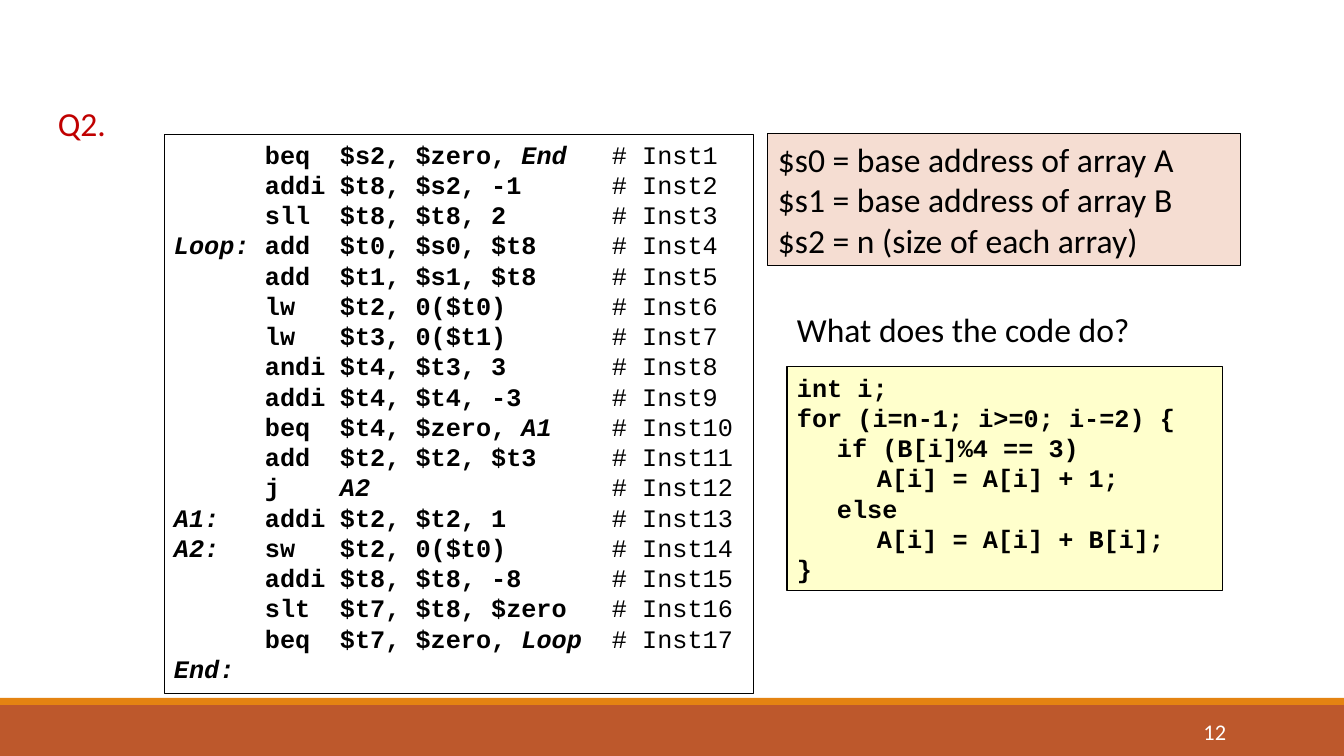
from pptx import Presentation
from pptx.dml.color import RGBColor
from pptx.enum.shapes import MSO_SHAPE
from pptx.enum.text import MSO_ANCHOR, PP_ALIGN
from pptx.oxml.ns import qn
from pptx.util import Emu, Pt
from lxml.etree import SubElement

SCALE = 914400 / 100.8
BLACK = "000000"
MONO = "Courier New"

# label, operation, operands, branch target
STEPS = [
    ("", "beq", "$s2, $zero, ", "End"),
    ("", "addi", "$t8, $s2, -1", ""),
    ("", "sll", "$t8, $t8, 2", ""),
    ("Loop:", "add", "$t0, $s0, $t8", ""),
    ("", "add", "$t1, $s1, $t8", ""),
    ("", "lw", "$t2, 0($t0)", ""),
    ("", "lw", "$t3, 0($t1)", ""),
    ("", "andi", "$t4, $t3, 3", ""),
    ("", "addi", "$t4, $t4, -3", ""),
    ("", "beq", "$t4, $zero, ", "A1"),
    ("", "add", "$t2, $t2, $t3", ""),
    ("", "j", "", "A2"),
    ("A1:", "addi", "$t2, $t2, 1", ""),
    ("A2:", "sw", "$t2, 0($t0)", ""),
    ("", "addi", "$t8, $t8, -8", ""),
    ("", "slt", "$t7, $t8, $zero", ""),
    ("", "beq", "$t7, $zero, ", "Loop"),
]

LOOP = """int i;
for (i=n-1; i>=0; i-=2) {
\tif (B[i]%4 == 3)
\t\tA[i] = A[i] + 1;
\telse
\t\tA[i] = A[i] + B[i];
}"""

REGS = """$s0 = base address of array A
$s1 = base address of array B
$s2 = n (size of each array)"""


def px(n):
    return Emu(round(n * SCALE))


def color(code):
    return RGBColor.from_string(code)


def panel(slide, box, fill=None, line=None):
    shape = slide.shapes.add_shape(MSO_SHAPE.RECTANGLE, *map(px, box))
    shape.shadow.inherit = False
    if fill:
        shape.fill.solid()
        shape.fill.fore_color.rgb = color(fill)
    else:
        shape.fill.background()
    if line:
        shape.line.color.rgb = color(line)
        shape.line.width = Pt(0.75)
    else:
        shape.line.fill.background()
    frame = shape.text_frame
    frame.word_wrap = True
    frame.vertical_anchor = MSO_ANCHOR.TOP
    return frame


def style(run, size, font=MONO, ink=BLACK, bold=False, slant=False):
    run.font.size = Pt(size)
    run.font.name = font
    run.font.color.rgb = color(ink)
    run.font.bold = bold
    run.font.italic = slant


def prose(frame, text, size=24, ink=BLACK, align=PP_ALIGN.LEFT):
    frame.text = text
    for para in frame.paragraphs:
        para.alignment = align
        for run in para.runs:
            style(run, size, "Calibri", ink)


def label(slide, box, text, anchor=MSO_ANCHOR.TOP, **look):
    frame = slide.shapes.add_textbox(*map(px, box)).text_frame
    frame.word_wrap = True
    frame.vertical_anchor = anchor
    prose(frame, text, **look)


def code_line(para, stops):
    para.alignment = PP_ALIGN.LEFT
    para.line_spacing = Pt(21.6)
    tabs = SubElement(para._p.get_or_add_pPr(), qn("a:tabLst"))
    for stop in stops:
        SubElement(tabs, qn("a:tab"), pos=str(px(stop)), algn="l")


# Bands along the foot, with the page number
def footer(slide, box):
    x, y, w, h = box
    panel(slide, (x, y + 7, w, h - 7), "BD582C")
    panel(slide, (x, y, w, 7), "E48312")
    label(slide, (x + 1092, y + 14, 144, 40), "12", MSO_ANCHOR.MIDDLE,
          size=16, ink="FFFFFF", align=PP_ALIGN.RIGHT)


# Assembly listing in four tabbed columns
def listing(slide, box):
    frame = panel(slide, box, line=BLACK)
    rows = [[(name, True, True), (f"\t{op}\t{args}", True, False),
             (goal, True, True), (f"\t# Inst{num}", False, False)]
            for num, (name, op, args, goal) in enumerate(STEPS, 1)]
    rows.append([("End:", True, True)])
    for i, row in enumerate(rows):
        para = frame.add_paragraph() if i else frame.paragraphs[0]
        code_line(para, (91, 166, 438))
        for text, bold, slant in row:
            if text:
                run = para.add_run()
                run.text = text
                style(run, 18, bold=bold, slant=slant)


# Register notes above, question and its answer below
def notes(slide, box):
    x, y, w, h = box
    prose(panel(slide, (x, y, w, 132), "F5DDD2", BLACK), REGS)
    label(slide, (x + 19, y + 170, 425, 50), "What does the code do?")
    frame = panel(slide, (x + 19, y + 233, w - 37, h - 233), "FFFFCC", BLACK)
    frame.text = LOOP
    for para in frame.paragraphs:
        code_line(para, (40, 80))
        for run in para.runs:
            style(run, 18, bold=True)


def main():
    deck = Presentation()
    deck.slide_width, deck.slide_height = px(1344), px(756)
    slide = deck.slides.add_slide(deck.slide_layouts[6])
    footer(slide, (0, 698, 1344, 58))
    label(slide, (32, 98, 100, 50), "Q2.", ink="C00000", align=PP_ALIGN.CENTER)
    listing(slide, (164, 134, 590, 560))
    notes(slide, (768, 134, 473, 457))
    deck.save("out.pptx")


if __name__ == "__main__":
    main()
